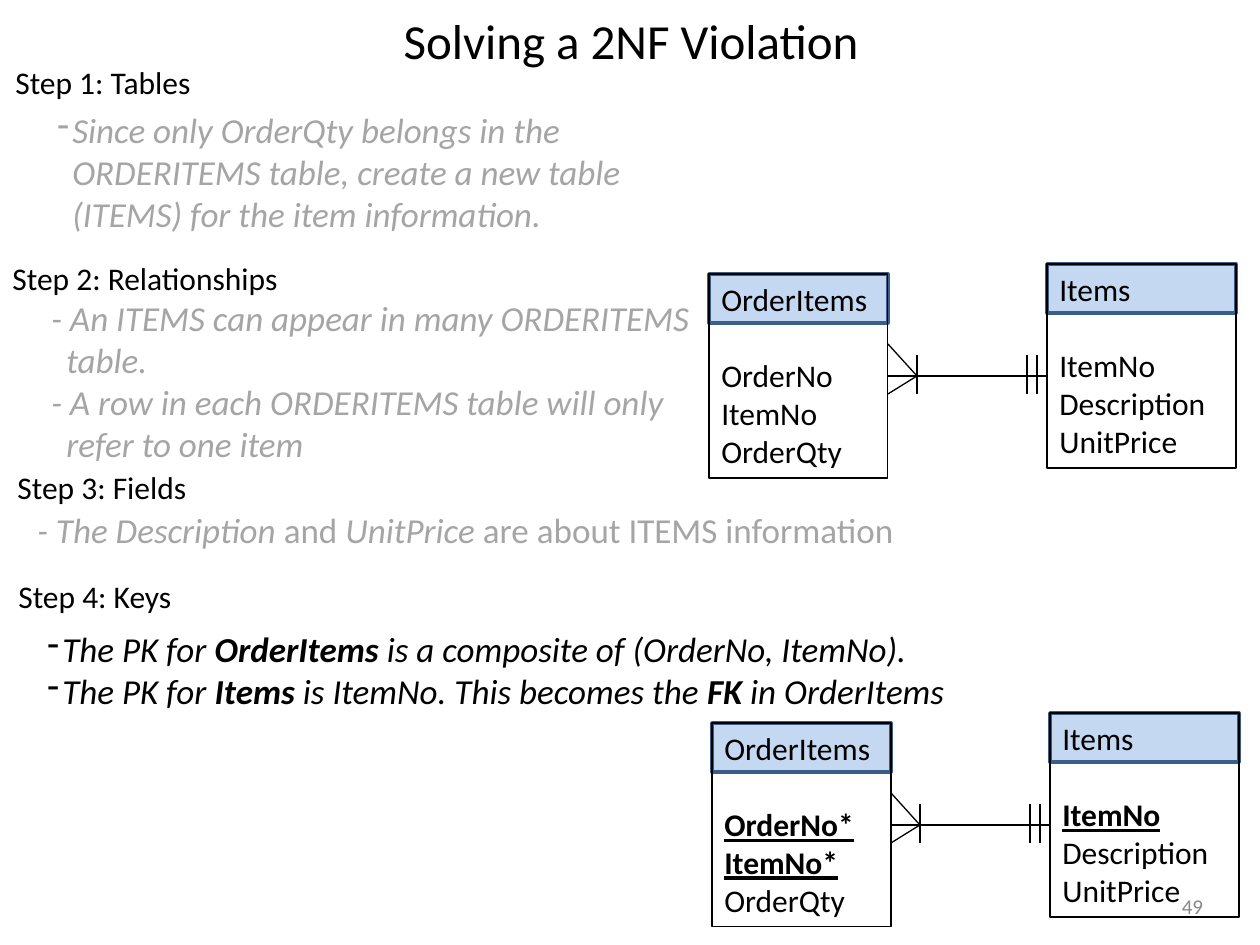
"""Build the slide on solving a 2NF violation, with two entity diagrams."""
from dataclasses import dataclass

import pptx
import pptx.dml.color
import pptx.enum.shapes
import pptx.enum.text
import pptx.oxml.ns
import pptx.util
from lxml import etree

PX = 914400 // 126
FONT = "Calibri"
COLORS = {
    "black": "000000",
    "muted": "A5A5A5",
    "number": "888888",
    "header": "C5D8F1",
    "header_line": "395E89",
}
ALIGN = pptx.enum.text.PP_ALIGN
ANCHOR = pptx.enum.text.MSO_ANCHOR


@dataclass(frozen=True)
class Span:
    text: str
    bold: bool = False
    italic: bool = True


@dataclass(frozen=True)
class Style:
    size: int
    color: str = "black"
    italic: bool = False
    margin: int = 0
    indent: int = 0
    bullet: str = ""
    align: ALIGN = ALIGN.LEFT


@dataclass(frozen=True)
class Note:
    left: int
    top: int
    width: int
    height: int
    style: Style
    lines: tuple[tuple[Span, ...], ...]


@dataclass(frozen=True)
class Entity:
    name: str
    keys: tuple[str, ...]
    fields: tuple[str, ...]


HEADING = Style(18)
BULLET = Style(20, italic=True, margin=15, indent=-18, bullet="-")
GREY_BULLET = Style(20, "muted", True, 15, -18, "-")
GREY_DASH = Style(20, "muted", True, 15, -15)
NUMBER = Style(12, "number", align=ALIGN.CENTER)

NOTES = (
    Note(3, 57, 228, 50, HEADING, ((Span("Step 1: Tables"),),)),
    Note(0, 253, 323, 50, HEADING, ((Span("Step 2: Relationships"),),)),
    Note(5, 462, 218, 50, HEADING, ((Span("Step 3: Fields"),),)),
    Note(6, 571, 204, 50, HEADING, ((Span("Step 4: Keys"),),)),
    Note(45, 102, 595, 140, GREY_BULLET, (
        (Span("Since only OrderQty belongs in the ORDERITEMS table, "
              "create a new table (ITEMS) for the item information."),),
    )),
    Note(39, 290, 670, 183, GREY_DASH, (
        (Span("- An ITEMS can appear in many ORDERITEMS table."),),
        (Span("- A row in each ORDERITEMS table will only refer to one item"),),
    )),
    Note(25, 502, 911, 55, GREY_DASH, (
        (Span("- The Description"), Span(" and ", italic=False),
         Span("UnitPrice"), Span(" are about ITEMS information", italic=False)),
    )),
    Note(35, 621, 983, 97, BULLET, (
        (Span("The PK for "), Span("OrderItems", bold=True),
         Span(" is a composite of (OrderNo, ItemNo).")),
        (Span("The PK for "), Span("Items", bold=True),
         Span(" is ItemNo. This becomes the "), Span("FK", bold=True),
         Span(" in OrderItems")),
    )),
)


def px(*lengths: int) -> tuple[int, ...]:
    return tuple(length * PX for length in lengths)


def rgb(name: str) -> pptx.dml.color.RGBColor:
    return pptx.dml.color.RGBColor.from_string(COLORS[name])


def format_paragraph(para, style: Style) -> None:
    para.alignment = style.align
    properties = para._p.get_or_add_pPr()
    if style.margin:
        properties.set("marL", str(style.margin * PX))
        properties.set("indent", str(style.indent * PX))
    if style.bullet:
        tag = pptx.oxml.ns.qn
        color = etree.SubElement(properties, tag("a:buClr"))
        etree.SubElement(color, tag("a:srgbClr"), val=COLORS[style.color])
        etree.SubElement(properties, tag("a:buChar"), char=style.bullet)
    para.font.name = FONT
    para.font.size = pptx.util.Pt(style.size)
    para.font.color.rgb = rgb(style.color)


def add_note(page, note: Note, anchor: ANCHOR = ANCHOR.TOP) -> None:
    box = page.shapes.add_textbox(*px(note.left, note.top, note.width, note.height))
    frame = box.text_frame
    frame.word_wrap = True
    frame.vertical_anchor = anchor
    for index, spans in enumerate(note.lines):
        para = frame.add_paragraph() if index else frame.paragraphs[0]
        format_paragraph(para, note.style)
        uniform = len(spans) == 1
        if uniform:
            para.font.italic = note.style.italic
        for span in spans:
            run = para.add_run()
            run.text = span.text
            if not uniform:
                run.font.italic = span.italic
                run.font.bold = span.bold


def add_rectangle(group, left: int, top: int, width: int, height: int,
                  line: str, weight: float, fill: str = ""):
    box = group.shapes.add_shape(pptx.enum.shapes.MSO_SHAPE.RECTANGLE,
                                 *px(left, top, width, height))
    box.shadow.inherit = False
    if fill:
        box.fill.solid()
        box.fill.fore_color.rgb = rgb(fill)
    else:
        box.fill.background()
    box.line.color.rgb = rgb(line)
    box.line.width = pptx.util.Pt(weight)
    return box


def add_entity(group, left: int, top: int, width: int, entity: Entity):
    add_rectangle(group, left, top, width, 49, "header_line", 2, "header")
    body = add_rectangle(group, left, top, width, 204, "black", 0.75)
    frame = body.text_frame
    frame.word_wrap = True
    frame.vertical_anchor = ANCHOR.TOP
    for index, text in enumerate((entity.name, *entity.keys, *entity.fields)):
        para = frame.add_paragraph() if index else frame.paragraphs[0]
        para.text = text
        format_paragraph(para, HEADING)
        if index == 1:
            para.space_before = pptx.util.Pt(22)
        if 0 < index <= len(entity.keys):
            para.font.bold = True
            para.font.underline = True
    return body


def add_line(group, x1: int, y1: int, x2: int, y2: int):
    line = group.shapes.add_connector(pptx.enum.shapes.MSO_CONNECTOR.STRAIGHT,
                                      *px(x1, y1, x2, y2))
    line.line.color.rgb = rgb("black")
    line.line.width = pptx.util.Pt(0.75)
    etree.SubElement(line._element.spPr, pptx.oxml.ns.qn("a:effectLst"))
    return line


def add_diagram(page, left: int, top: int, order_items: Entity, items: Entity) -> None:
    group = page.shapes.add_group_shape()
    many_side = add_entity(group, left, top, 179, order_items)
    add_entity(group, left + 338, top - 10, 189, items)
    edge, fork, middle = left + 179, left + 208, top + 102
    relation = add_line(group, left + 338, middle, edge, middle)
    relation.end_connect(many_side, 3)
    for toe in (top + 120, top + 70):
        add_line(group, fork, middle, edge, toe)
    for tick in (left + 318, left + 328, fork):
        add_line(group, tick, top + 120, tick, top + 81)


def main() -> None:
    deck = pptx.Presentation()
    deck.slide_width, deck.slide_height = px(1260, 945)
    page = deck.slides.add_slide(deck.slide_layouts[5])
    title = page.shapes.title
    title.left, title.top, title.width, title.height = px(64, 3, 1134, 73)
    title.text_frame.text = "Solving a 2NF Violation"
    title.text_frame.auto_size = pptx.enum.text.MSO_AUTO_SIZE.NONE
    title.text_frame.vertical_anchor = ANCHOR.MIDDLE
    format_paragraph(title.text_frame.paragraphs[0], Style(28, align=ALIGN.CENTER))
    for note in NOTES:
        add_note(page, note)
    add_note(page, Note(1155, 886, 75, 40, NUMBER, ((Span("49"),),)), ANCHOR.MIDDLE)
    add_diagram(page, 712, 723,
                Entity("OrderItems", ("OrderNo*", "ItemNo*"), ("OrderQty",)),
                Entity("Items", ("ItemNo",), ("Description", "UnitPrice")))
    add_diagram(page, 709, 274,
                Entity("OrderItems", (), ("OrderNo", "ItemNo", "OrderQty")),
                Entity("Items", (), ("ItemNo", "Description", "UnitPrice")))
    deck.save("out.pptx")


if __name__ == "__main__":
    main()
